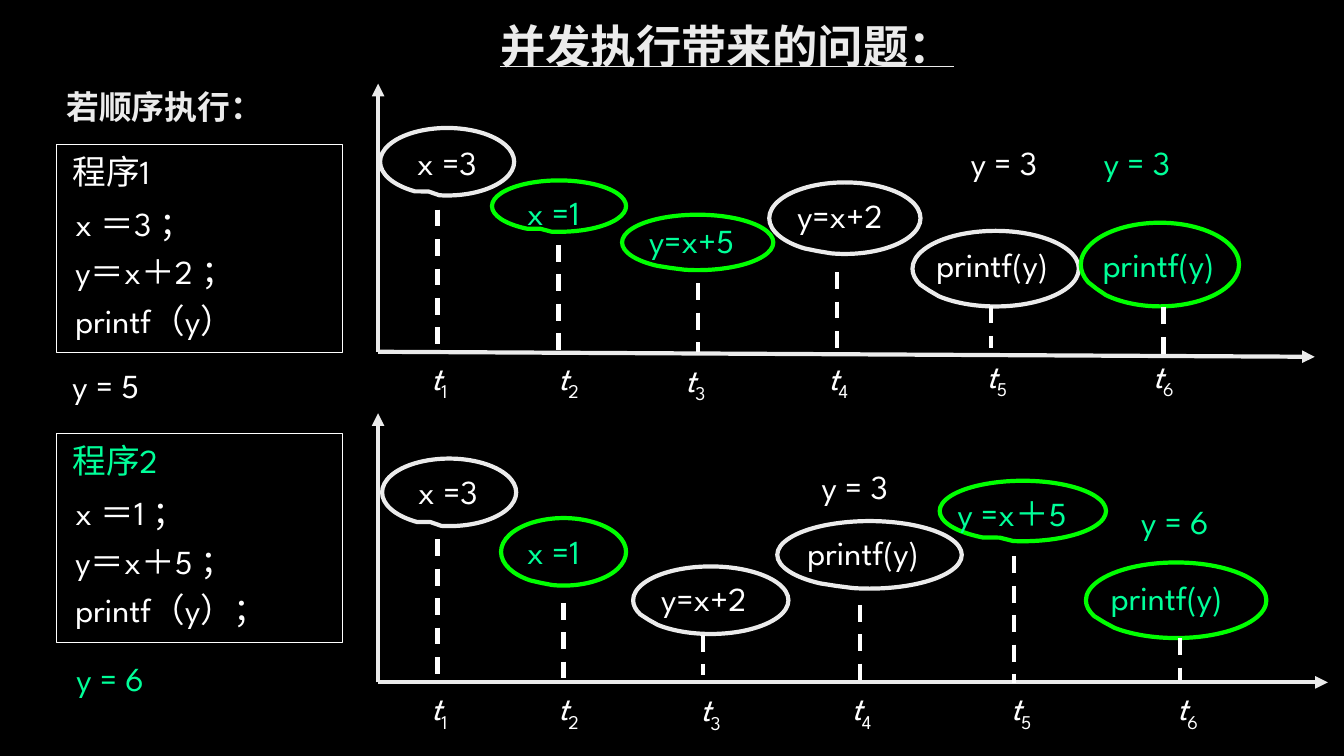
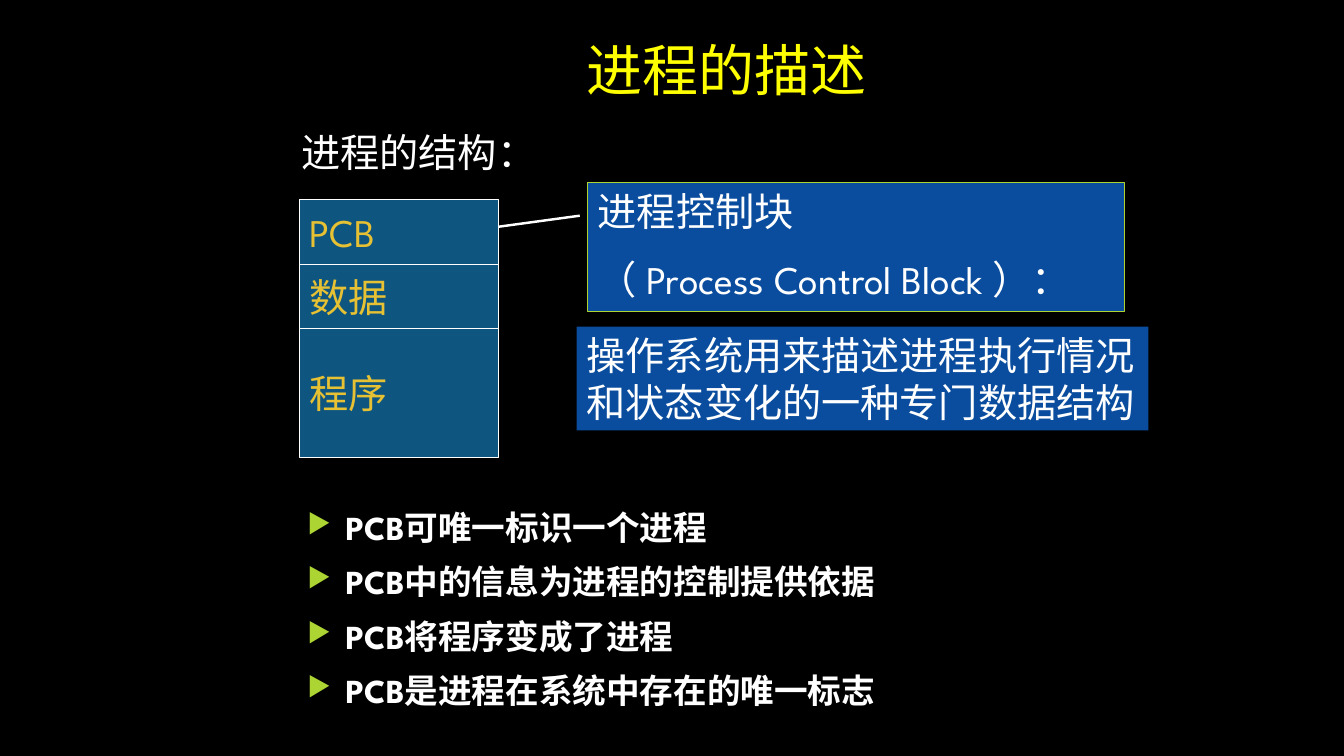
from dataclasses import dataclass
from lxml.etree import SubElement
from pptx import Presentation
from pptx.dml.color import RGBColor
from pptx.enum.dml import MSO_LINE
from pptx.enum.shapes import MSO_CONNECTOR, MSO_SHAPE
from pptx.enum.text import MSO_ANCHOR, PP_ALIGN
from pptx.oxml.ns import qn
from pptx.util import Inches, Pt


@dataclass(frozen=True)
class Theme:
    font: str = "League Spartan"
    title_font: str = "Noto Sans CJK SC"
    black: str = "000000"
    white: str = "FFFFFF"
    soft: str = "EBEBEB"
    mint: str = "00FF99"
    green: str = "00FF00"
    yellow: str = "FFFF00"
    gold: str = "E6C133"
    teal: str = "0E5580"
    blue: str = "0A4D9E"
    lime: str = "ACD433"
    heading: float = 23.4
    body: float = 24
    large: float = 28
    underlined: float = 32.4
    title: float = 40
    hairline: float = 0.75
    link: float = 1.75
    axis: float = 3


THEME = Theme()
ONE, TWO = (THEME.soft, THEME.white), (THEME.green, THEME.mint)
LEFT_TAIL, MID_TAIL, SIDE_TAIL = (-0.14, 0.44), (-0.18, 0.46), (-0.4, 0.29)

PROGRAMS = [
    (1.43, "程序1", THEME.white, ["x ＝3 ；", "y＝x＋2 ；", "printf（y）"]),
    (4.3, "程序2", THEME.mint, ["x ＝1 ；", "y＝x＋5 ；", "printf（y）；"]),
]
RESULTS = [
    ("y = 5", 0.62, 3.57, THEME.white),
    ("y = 6", 0.66, 6.48, THEME.mint),
    ("y = 3", 9.53, 1.36, THEME.white),
    ("y = 3", 10.85, 1.36, THEME.mint),
    ("y = 3", 8.05, 4.57, THEME.white),
    ("y = 6", 11.22, 4.92, THEME.mint),
]
TIMELINES = [
    {
        "origin": (3.75, 3.49), "right": (13.04, 3.54), "top": (3.75, 0.83),
        "events": [
            ("x =3", ONE, (3.77, 1.27, 1.33, 0.67), LEFT_TAIL, (4.04, 1.36), (4.34, 2.08, 3.49), (4.17, 3.49)),
            ("x =1", TWO, (4.88, 1.79, 1.33, 0.51), LEFT_TAIL, (5.13, 1.85), (5.54, 2.43, 3.51), (5.43, 3.49)),
            ("y=x+5", TWO, (6.17, 2.13, 1.5, 0.55), MID_TAIL, (6.34, 2.13), (6.92, 2.81, 3.49), (6.69, 3.51)),
            ("y=x+2", ONE, (7.63, 1.81, 1.5, 0.71), MID_TAIL, (7.81, 1.88), (8.3, 2.7, 3.49), (8.11, 3.49)),
            ("printf(y)", ONE, (9.05, 2.29, 1.65, 0.75), SIDE_TAIL, (9.19, 2.37), (9.83, 3.04, 3.45), (9.68, 3.47)),
            ("printf(y)", TWO, (10.72, 2.21, 1.57, 0.83), SIDE_TAIL, (10.84, 2.37), (11.54, 3.05, 3.51), (11.33, 3.47)),
        ],
    },
    {
        "origin": (3.75, 6.77), "right": (13.17, 6.77), "top": (3.75, 4.1),
        "events": [
            ("x =3", ONE, (3.79, 4.55, 1.33, 0.67), LEFT_TAIL, (4.05, 4.62), (4.34, 5.35, 6.77), (4.17, 6.77)),
            ("x =1", TWO, (4.97, 5.14, 1.24, 0.67), MID_TAIL, (5.13, 5.22), (5.59, 5.98, 6.81), (5.43, 6.77)),
            ("y=x+2", ONE, (6.28, 5.62, 1.54, 0.67), SIDE_TAIL, (6.46, 5.68), (6.97, 6.3, 6.7), (6.84, 6.78)),
            ("printf(y)", ONE, (7.71, 5.17, 1.83, 0.67), MID_TAIL, (7.91, 5.23), (8.53, 6, 6.75), (8.34, 6.77)),
            ("y =x＋5", TWO, (9.32, 4.77, 1.65, 0.6), LEFT_TAIL, (9.4, 4.84), (10.06, 5.52, 6.78), (9.92, 6.77)),
            ("printf(y)", TWO, (10.77, 5.58, 1.79, 0.75), SIDE_TAIL, (10.92, 5.67), (11.7, 6.33, 6.75), (11.57, 6.77)),
        ],
    },
]
MEMORY = [("PCB", 1), ("数据", 1), ("程序", 2)]
PCB_NAME = ["进程控制块", "（ Process Control Block ）："]
PCB_MEANING = ["操作系统用来描述进程执行情况和状态变化的一种专门数据结构"]
PCB_FACTS = [
    "PCB可唯一标识一个进程",
    "PCB中的信息为进程的控制提供依据",
    "PCB将程序变成了进程",
    "PCB是进程在系统中存在的唯一标志",
]


def rgb(colour):
    return RGBColor.from_string(colour)


def apply(target, values):
    for name, value in values.items():
        setattr(target, name, value)


def add_span(para, text, size, colour, font=THEME.font, **looks):
    span = para.add_run()
    span.text = text
    apply(span.font, {"size": Pt(size), "name": font, **looks})
    span.font.color.rgb = rgb(colour)
    SubElement(span.font._element, qn("a:ea"), typeface=font)
    return span


def write(box, lines, size=THEME.body, colour=THEME.white, gap=0, anchor=MSO_ANCHOR.TOP, **looks):
    frame = box.text_frame
    apply(frame, {"word_wrap": True, "vertical_anchor": anchor})
    for index, line in enumerate(lines):
        para = frame.paragraphs[0] if index == 0 else frame.add_paragraph()
        apply(para, {"alignment": PP_ALIGN.LEFT, "space_before": Pt(gap)})
        add_span(para, line, size, colour, **looks)
    return box


def add_text(shapes, place, lines, **style):
    return write(shapes.add_textbox(*map(Inches, place)), lines, **style)


def add_panel(shapes, place, line=None, fill=None, width=THEME.hairline, kind=MSO_SHAPE.RECTANGLE):
    panel = shapes.add_shape(kind, *map(Inches, place))
    panel.shadow.inherit = False
    if fill:
        panel.fill.solid()
        panel.fill.fore_color.rgb = rgb(fill)
    else:
        panel.fill.background()
    if line:
        panel.line.color.rgb = rgb(line)
        panel.line.width = Pt(width)
    else:
        panel.line.fill.background()
    return panel


def add_line(shapes, start, end, colour=THEME.white, width=THEME.axis, dash=None, arrow=False):
    line = shapes.add_connector(MSO_CONNECTOR.STRAIGHT, *map(Inches, (*start, *end)))
    line.line.color.rgb = rgb(colour)
    apply(line.line, {"width": Pt(width), "dash_style": dash})
    if arrow:
        SubElement(line.line._get_or_add_ln(), qn("a:tailEnd"), type="triangle")
    SubElement(line._element.spPr, qn("a:effectLst"))


def add_page(deck, title, place, **style):
    page = deck.slides.add_slide(deck.slide_layouts[5])
    names = ("left", "top", "width", "height")
    apply(page.shapes.title, dict(zip(names, map(Inches, place))))
    write(page.shapes.title, [title], anchor=MSO_ANCHOR.MIDDLE, **style)
    return page


def add_program(shapes, top, name, colour, code):
    group = shapes.add_group_shape().shapes
    add_panel(group, (0.56, top, 2.84, 2.07), THEME.white)
    add_text(group, (0.62, top + 0.02, 1.32, 0.5), [name], colour=colour)
    add_text(group, (0.65, top + 0.53, 2.75, 1.5), code, gap=6)


def add_timeline(shapes, origin, right, top, events):
    group = shapes.add_group_shape().shapes
    for end in (right, top):
        add_line(group, origin, end, THEME.soft, arrow=True)
    for step, (label, owner, oval, tail, spot, (x, start, end), tick) in enumerate(events, 1):
        outline, ink = owner
        callout = add_panel(group, oval, outline, width=THEME.axis, kind=MSO_SHAPE.OVAL_CALLOUT)
        for index, value in enumerate(tail):
            callout.adjustments[index] = value
        add_text(group, (*spot, 1.7, 0.5), [label], colour=ink)
        add_line(group, (x, start), (x, end), dash=MSO_LINE.DASH)
        mark = add_text(group, (*tick, 0.7, 0.5), ["t"], italic=True)
        below = add_span(mark.text_frame.paragraphs[0], str(step), THEME.body, THEME.white)
        below.font._element.set("baseline", "-25000")


def add_bullets(box):
    for para in box.text_frame.paragraphs:
        props = para._p.get_or_add_pPr()
        props.set("marL", str(Inches(0.38)))
        props.set("indent", str(-Inches(0.38)))
        SubElement(SubElement(props, qn("a:buClr")), qn("a:srgbClr"), val=THEME.lime)
        SubElement(props, qn("a:buSzPct"), val="80000")
        SubElement(props, qn("a:buChar"), char="▶")


def build_concurrency(deck):
    shapes = add_page(deck, "并发执行带来的问题：", (4.86, 0.13, 4.8, 0.64), size=THEME.underlined,
                      colour=THEME.soft, bold=True, underline=True).shapes
    add_text(shapes, (0.56, 0.81, 2.6, 0.56), ["若顺序执行："], size=THEME.heading,
             colour=THEME.soft, bold=True)
    for program in PROGRAMS:
        add_program(shapes, *program)
    for timeline in TIMELINES:
        add_timeline(shapes, **timeline)
    for text, left, top, colour in RESULTS:
        add_text(shapes, (left, top, 1.05, 0.5), [text], colour=colour)


def build_process(deck):
    shapes = add_page(deck, "进程的描述", (5.72, 0.22, 3.15, 0.94), size=THEME.title,
                      colour=THEME.yellow, font=THEME.title_font).shapes
    add_text(shapes, (2.89, 1.22, 2.6, 0.57), ["进程的结构："], size=THEME.large)
    group = shapes.add_group_shape().shapes
    top, unit = 1.98, 0.64
    for name, units in MEMORY:
        block = add_panel(group, (2.97, top, 1.97, units * unit), THEME.white, THEME.teal)
        write(block, [name], size=THEME.large, colour=THEME.gold, anchor=MSO_ANCHOR.MIDDLE)
        top += units * unit
    name_box = add_panel(shapes, (5.83, 1.81, 5.32, 1.28), THEME.lime, THEME.blue)
    write(name_box, PCB_NAME, size=THEME.large, gap=15)
    add_line(shapes, (4.94, 2.25), (5.75, 2.14), width=THEME.link)
    meaning_box = add_panel(shapes, (5.72, 3.24, 5.67, 1.03), fill=THEME.blue)
    write(meaning_box, PCB_MEANING, size=THEME.large)
    add_bullets(add_text(shapes, (2.95, 4.98, 6.39, 2.3), PCB_FACTS, gap=10, bold=True))


def main():
    deck = Presentation()
    apply(deck, {"slide_width": Inches(13.33), "slide_height": Inches(7.5)})
    backdrop = deck.slide_master.background.fill
    backdrop.solid()
    backdrop.fore_color.rgb = rgb(THEME.black)
    build_concurrency(deck)
    build_process(deck)
    deck.save("out.pptx")


if __name__ == "__main__":
    main()
